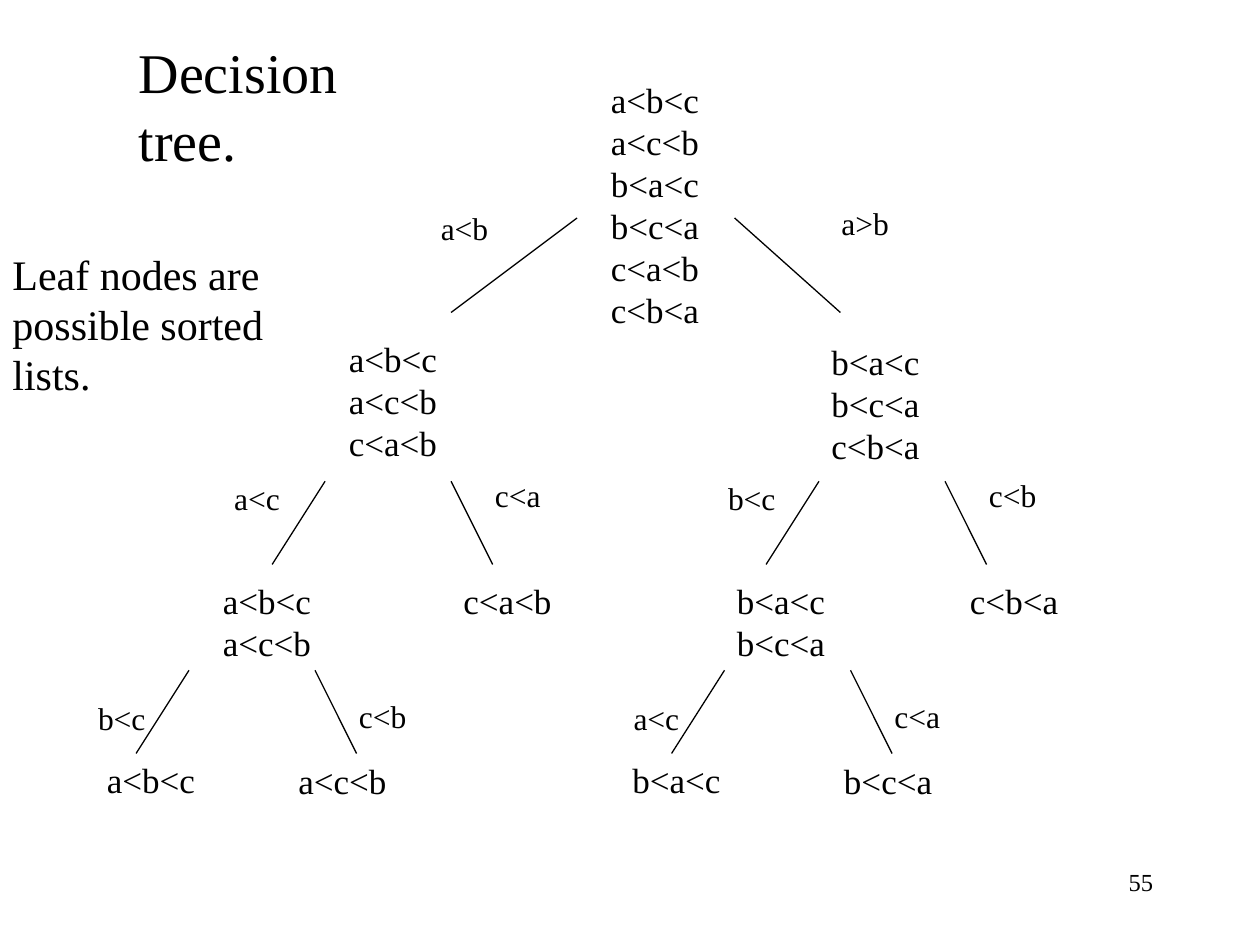
import pptx
import pptx.dml.color
import pptx.enum.shapes
import pptx.enum.text
import pptx.oxml.ns
import pptx.util
from lxml import etree

Inches = pptx.util.Inches
Pt = pptx.util.Pt
ALIGN = pptx.enum.text.PP_ALIGN
BLACK = pptx.dml.color.RGBColor(0, 0, 0)
WHITE = pptx.dml.color.RGBColor(255, 255, 255)


class TreeSlide:
    font = "Times New Roman"
    node_size = 20
    label_size = 18
    leading = 1.2

    def __init__(self, deck):
        self.slide = deck.slides.add_slide(deck.slide_layouts[5])
        self.slide.background.fill.solid()
        self.slide.background.fill.fore_color.rgb = WHITE

    def fill_lines(self, frame, lines, size, align=ALIGN.LEFT, wrap=False):
        frame.word_wrap = wrap
        frame.auto_size = pptx.enum.text.MSO_AUTO_SIZE.NONE
        frame.vertical_anchor = pptx.enum.text.MSO_ANCHOR.TOP
        for index, line in enumerate(lines):
            paragraph = frame.add_paragraph() if index else frame.paragraphs[0]
            paragraph.alignment = align
            paragraph.line_spacing = Pt(size * self.leading)
            paragraph.space_before = Pt(0)
            run = paragraph.add_run()
            run.text = line
            run.font.name = self.font
            run.font.size = Pt(size)
            run.font.color.rgb = BLACK

    def title(self, words, left, top, width, height):
        heading = self.slide.shapes.title
        heading.left, heading.top = Inches(left), Inches(top)
        heading.width, heading.height = Inches(width), Inches(height)
        self.fill_lines(heading.text_frame, [words], 32)

    def text(self, lines, left, top, width, size, align=ALIGN.LEFT, wrap=False):
        height = 0.1 + len(lines) * size * self.leading / 72
        box = self.slide.shapes.add_textbox(
            Inches(left), Inches(top), Inches(width), Inches(height))
        self.fill_lines(box.text_frame, lines, size, align, wrap)

    def node(self, orders, left, top):
        self.text(orders, left, top, 0.9, self.node_size)

    def label(self, test, left, top):
        self.text([test], left, top, 0.57, self.label_size)

    def edge(self, x1, y1, x2, y2):
        line = self.slide.shapes.add_connector(
            pptx.enum.shapes.MSO_CONNECTOR.STRAIGHT,
            Inches(x1), Inches(y1), Inches(x2), Inches(y2))
        line.line.color.rgb = BLACK
        line.line.width = Pt(0.75)
        properties = line._element.spPr
        etree.SubElement(properties, pptx.oxml.ns.qn("a:effectLst"))

    def split(self, x, y, left_test, right_test, label_drop):
        self.edge(x, y, x - 0.42, y + 0.66)
        self.edge(x + 1, y, x + 1.33, y + 0.66)
        self.label(left_test, x - 0.82, y + label_drop)
        self.label(right_test, x + 1.25, y + label_drop - 0.02)


NODES = [
    (["a<b<c", "a<c<b", "b<a<c", "b<c<a", "c<a<b", "c<b<a"], 4.75, 0.57),
    (["a<b<c", "a<c<b", "c<a<b"], 2.67, 2.63),
    (["b<a<c", "b<c<a", "c<b<a"], 6.5, 2.65),
    (["a<b<c", "a<c<b"], 1.67, 4.55),
    (["c<a<b"], 3.58, 4.55),
    (["b<a<c", "b<c<a"], 5.75, 4.55),
    (["c<b<a"], 7.6, 4.55),
    (["a<b<c"], 0.75, 5.97),
    (["a<c<b"], 2.27, 5.98),
    (["b<a<c"], 4.92, 5.97),
    (["b<c<a"], 6.6, 5.98),
]

SPLITS = [
    (2.58, 3.82, "a<c", "c<a", -0.07),
    (6.5, 3.82, "b<c", "c<b", -0.07),
    (1.5, 5.32, "b<c", "c<b", 0.18),
    (5.75, 5.32, "a<c", "c<a", 0.18),
]


def main():
    deck = pptx.Presentation()
    deck.slide_width, deck.slide_height = Inches(10), Inches(7.5)
    tree = TreeSlide(deck)
    tree.title("Decision tree.", 1, 0.25, 2.67, 0.63)
    tree.text(["Leaf nodes are", "possible sorted", "lists."], 0, 1.92, 2.19, 24)
    for orders, left, top in NODES:
        tree.node(orders, left, top)
    tree.edge(4.58, 1.73, 3.58, 2.48)
    tree.edge(5.83, 1.73, 6.67, 2.48)
    tree.label("a<b", 3.4, 1.61)
    tree.label("a>b", 6.58, 1.57)
    for branch in SPLITS:
        tree.split(*branch)
    tree.text(["55"], 7.5, 6.83, 1.75, 14, ALIGN.RIGHT, True)
    deck.save("out.pptx")


if __name__ == "__main__":
    main()
